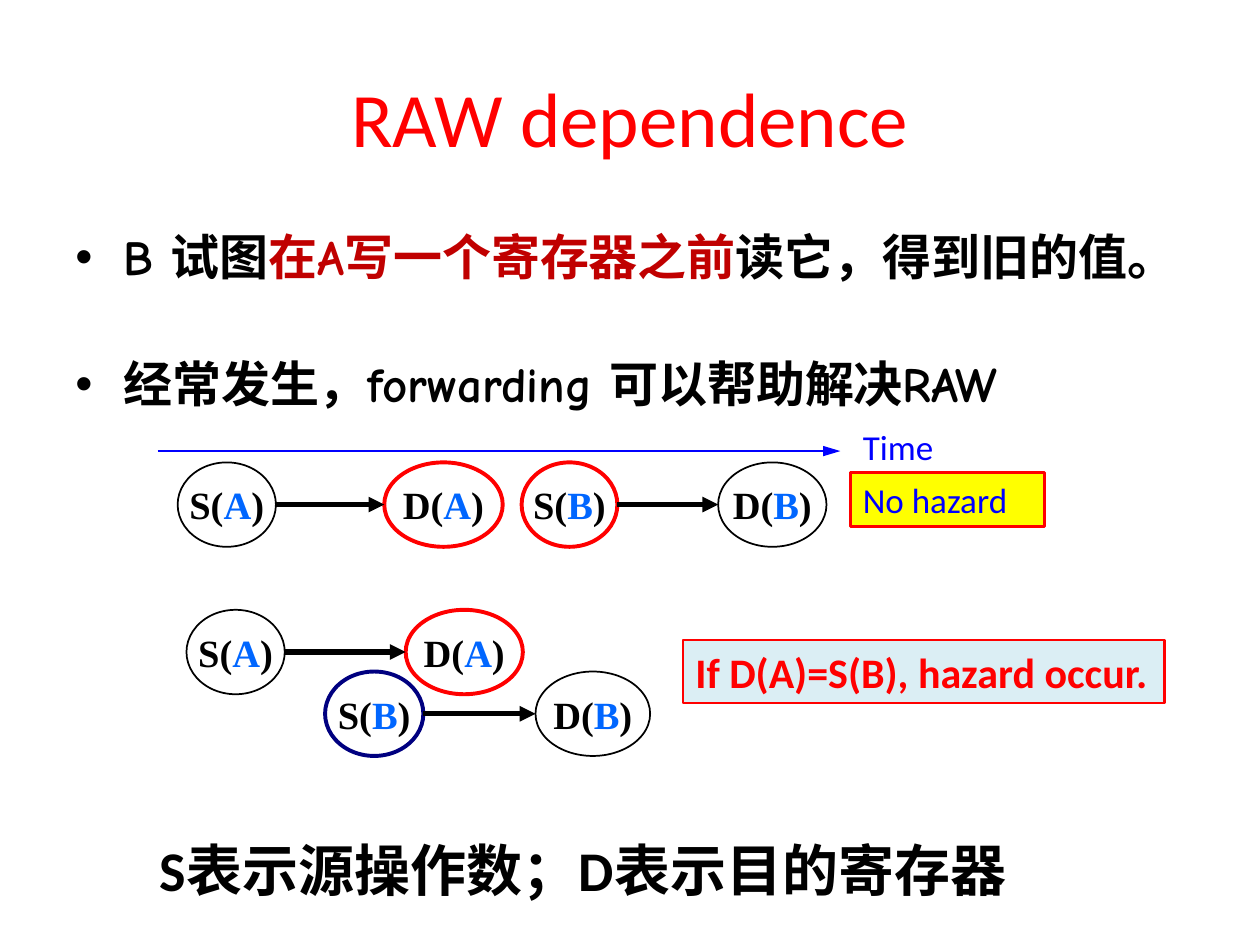
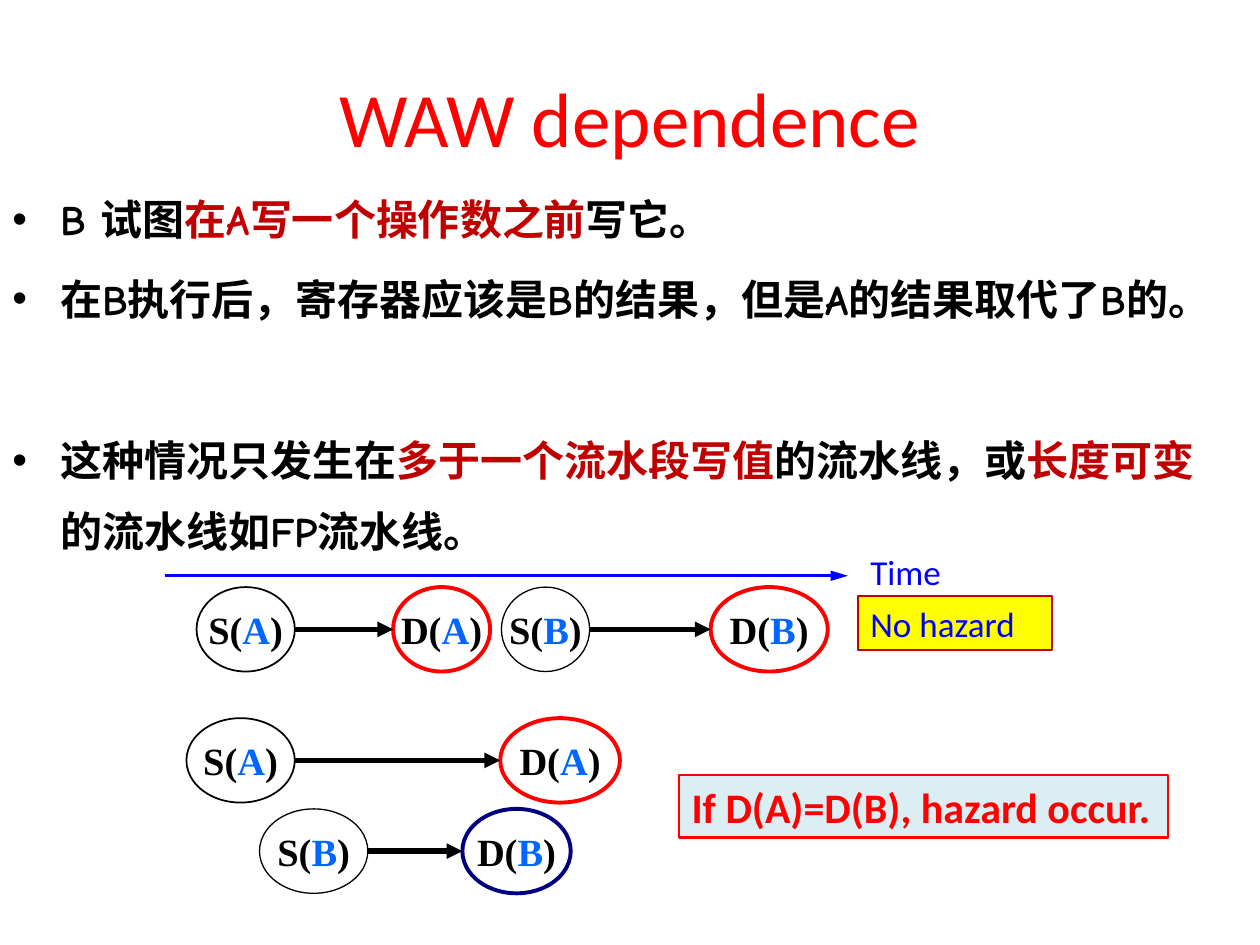
from lxml import etree
from pptx import Presentation
from pptx import oxml as ox
from pptx import util as u
from pptx.dml import color
from pptx.enum import lang, shapes, text

COLORS = {
    "black": "000000", "red": "FF0000", "dark_red": "C00000", "navy": "000080",
    "blue": "0000FF", "operand": "0066FF", "yellow": "FFFF00", "pale": "DBEEF4",
}
TITLE = {"size": u.Pt(44), "name": "Calibri", "color": "red"}
BODY = {"name": "Comic Neue", "bold": True}
NODE = {"size": u.Pt(22), "name": "Times New Roman", "bold": True}
LABEL = {"size": u.Pt(20), "name": "Calibri", "color": "blue"}
RULE = {"size": u.Pt(24), "name": "Calibri", "bold": True, "color": "red"}
LEGEND = {"size": u.Pt(32), "name": "Calibri", "bold": True}
TRAILING = {"name": "TeX Gyre Pagella", "size": u.Pt(28), "italic": True}


def rgb(name):
    return color.RGBColor.from_string(COLORS[name])


class Deck:
    def __init__(self):
        self.prs = Presentation()
        self.prs.slide_width, self.prs.slide_height = u.Inches(10), u.Inches(7.5)
        self.s = None

    def slide(self, title):
        self.s = self.prs.slides.add_slide(self.prs.slide_layouts[6])
        tf = self.box((0.5, 0.3, 9, 1.25), title, TITLE, wrap=True)
        tf.vertical_anchor = text.MSO_ANCHOR.MIDDLE
        tf.paragraphs[0].alignment = text.PP_ALIGN.CENTER

    def run(self, p, words, style):
        r = p.add_run()
        r.text = words
        values = {"color": "black", "language_id": lang.MSO_LANGUAGE_ID.SIMPLIFIED_CHINESE, **style}
        r.font.color.rgb = rgb(values.pop("color"))
        for key, value in values.items():
            setattr(r.font, key, value)

    def box(self, at, words, style, wrap=False):
        sp = self.s.shapes.add_textbox(*map(u.Inches, at))
        tf = sp.text_frame
        tf.word_wrap = wrap
        if words:
            self.run(tf.paragraphs[0], words, style)
        return tf

    def bullets(self, at, size, items, before, spacing=1.0):
        tf = self.box(at, "", BODY, wrap=True)
        for i, item in enumerate(items):
            p = tf.add_paragraph() if i else tf.paragraphs[0]
            pPr = p._p.get_or_add_pPr()
            pPr.set("marL", str(u.Inches(0.38)))
            pPr.set("indent", str(u.Inches(-0.38)))
            for tag, attrs in (("buFont", {"typeface": "Arial"}), ("buChar", {"char": "•"})):
                etree.SubElement(pPr, ox.ns.qn(f"a:{tag}"), attrs)
            p.line_spacing = spacing
            if i:
                p.space_before = u.Pt(before)
            for words, extra in item:
                self.run(p, words, {**BODY, "size": u.Pt(size), **extra})

    def shape(self, kind, at, line, width, fill=None):
        sp = self.s.shapes.add_shape(kind, *map(u.Inches, at))
        sp.shadow.inherit = False
        sp.line.color.rgb = rgb(line)
        sp.line.width = u.Pt(width)
        if fill:
            sp.fill.solid()
            sp.fill.fore_color.rgb = rgb(fill)
        else:
            sp.fill.background()
        tf = sp.text_frame
        tf.word_wrap = False
        tf.vertical_anchor = text.MSO_ANCHOR.MIDDLE
        return tf

    def node(self, role, operand, at, line="black", width=1):
        tf = self.shape(shapes.MSO_SHAPE.OVAL, at, line, width)
        for side in ("left", "right", "top", "bottom"):
            setattr(tf, f"margin_{side}", 0)
        p = tf.paragraphs[0]
        p.alignment = text.PP_ALIGN.CENTER
        for words, name in ((role + "(", "black"), (operand, "operand"), (")", "black")):
            self.run(p, words, {**NODE, "color": name})

    def note(self, at, words, style, fill, line="red", width=1.5):
        tf = self.shape(shapes.MSO_SHAPE.RECTANGLE, at, line, width, fill)
        p = tf.paragraphs[0]
        p.alignment = text.PP_ALIGN.LEFT
        self.run(p, words, style)

    def arrow(self, x1, x2, y, line="black", width=3, length="med"):
        c = self.s.shapes.add_connector(
            shapes.MSO_CONNECTOR.STRAIGHT, *map(u.Inches, (x1, y, x2, y)))
        c.line.color.rgb = rgb(line)
        c.line.width = u.Pt(width)
        etree.SubElement(c.line._get_or_add_ln(), ox.ns.qn("a:tailEnd"),
                         {"type": "triangle", "w": "med", "len": length})
        etree.SubElement(c._element.spPr, ox.ns.qn("a:effectLst"))

    def timeline(self, x, y, label_y, note_y, line, width):
        self.arrow(x, x + 5.42, y, "blue", 1.5, "lg")
        self.box((x + 5.5, label_y, 0.84, 0.43), "Time", LABEL)
        self.note((x + 5.5, note_y, 1.54, 0.43), "No hazard", LABEL, "yellow", line, width)

    def instruction(self, operand, source, target):
        self.node("S", operand, *source)
        self.node("D", operand, *target)
        left, _, width, _ = source[0]
        end, top, _, height = target[0]
        self.arrow(left + width, end, top + height / 2)


def raw_slide(deck):
    deck.slide("RAW dependence")
    deck.bullets((0.5, 1.75, 9, 4.95), 28, [
        [("B 试图", {}), ("在A写一个寄存器之前", {"color": "dark_red"}),
         ("读它，得到旧的值。", {})],
        [("经常发生，forwarding 可以帮助解决RAW", {})],
    ], before=39)
    for pair in (
        ("A", [(1.41, 3.67, 0.78, 0.67)], [(3.05, 3.67, 0.94, 0.67), "red", 2.25]),
        ("B", [(4.14, 3.67, 0.76, 0.67), "red", 2.25], [(5.7, 3.67, 0.86, 0.67)]),
        ("A", [(1.48, 4.84, 0.78, 0.67)], [(3.22, 4.84, 0.93, 0.67), "red", 2.25]),
        ("B", [(2.58, 5.33, 0.78, 0.67), "navy", 2.25], [(4.25, 5.33, 0.91, 0.67)]),
    ):
        deck.instruction(*pair)
    deck.timeline(1.25, 3.58, 3.33, 3.75, "red", 1.5)
    deck.note((5.42, 5.08, 3.82, 0.5), "If D(A)=S(B), hazard occur.", RULE, "pale")
    deck.box((1.17, 6.58, 7.93, 0.64), "S表示源操作数；D表示目的寄存器", LEGEND, wrap=True)


def waw_slide(deck):
    deck.slide("WAW dependence")
    deck.bullets((0, 1.33, 9.67, 2.64), 24, [
        [("B 试图", {}), ("在A写一个操作数之前", {"color": "dark_red"}), ("写它。", {})],
        [("在B执行后，寄存器应该是B的结果，但是A的结果取代了B的。", {}), (" ", TRAILING)],
        [("这种情况只发生在", {}), ("多于一个流水段写值", {"color": "dark_red"}),
         ("的流水线，或", {}), ("长度可变", {"color": "dark_red"}),
         ("的流水线如FP流水线。", {})],
    ], before=5, spacing=1.4)
    for pair in (
        ("A", [(1.56, 4.66, 0.78, 0.67)], [(3.12, 4.66, 0.77, 0.67), "red", 2.25]),
        ("B", [(3.98, 4.66, 0.7, 0.67), "black", 0.75], [(5.64, 4.66, 0.93, 0.67), "red", 2.25]),
        ("A", [(1.48, 5.7, 0.86, 0.67)], [(3.97, 5.7, 0.95, 0.67), "red", 2.25]),
        ("B", [(2.06, 6.42, 0.86, 0.67), "black", 0.75], [(3.67, 6.42, 0.86, 0.67), "navy", 2.25]),
    ):
        deck.instruction(*pair)
    deck.timeline(1.31, 4.57, 4.32, 4.73, "dark_red", 0.75)
    deck.note((5.39, 6.15, 3.88, 0.5), "If D(A)=D(B), hazard occur.", RULE, "pale")


def main():
    deck = Deck()
    raw_slide(deck)
    waw_slide(deck)
    deck.prs.save("out.pptx")


if __name__ == "__main__":
    main()
